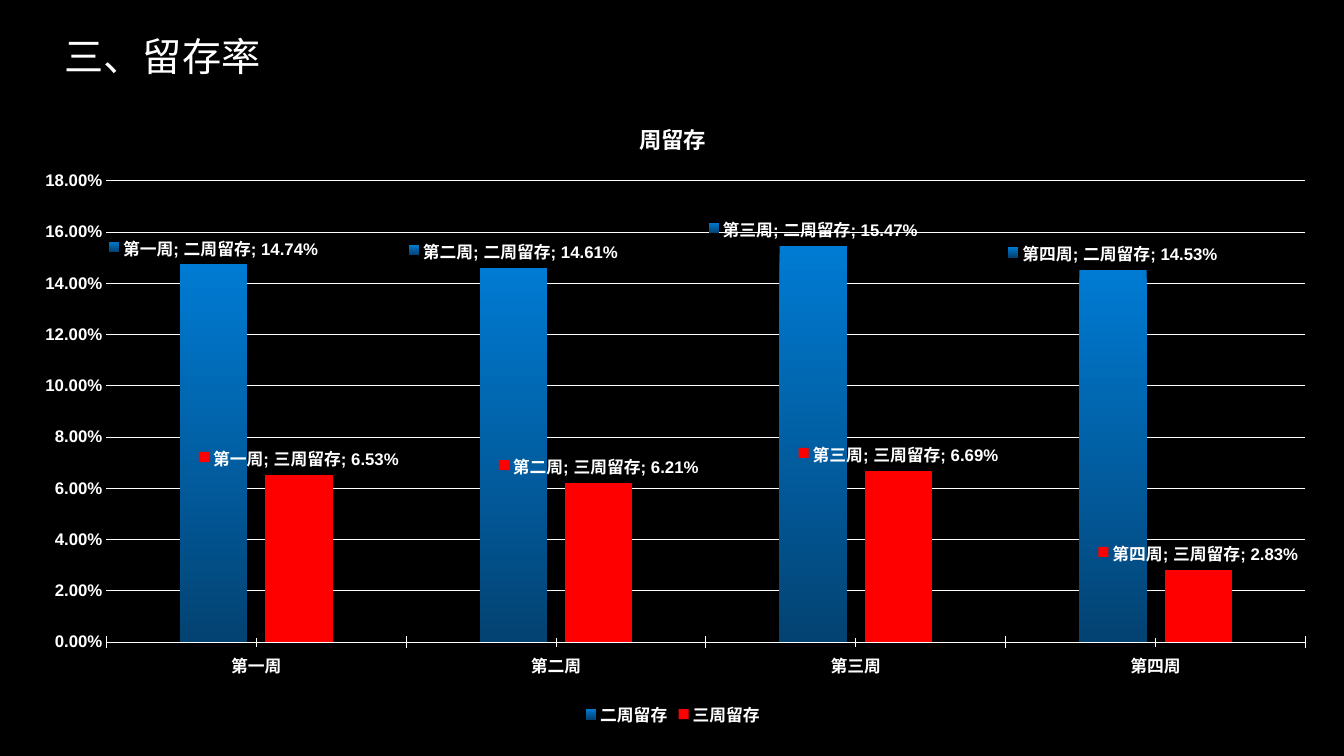
from lxml import etree
from pptx import Presentation
from pptx.chart.data import CategoryChartData
from pptx.dml.color import RGBColor
from pptx.enum.chart import XL_CHART_TYPE, XL_LABEL_POSITION, XL_LEGEND_POSITION, XL_TICK_MARK
from pptx.enum.text import MSO_ANCHOR, PP_ALIGN
from pptx.oxml.ns import qn
from pptx.util import Inches, Pt

COLUMNS = XL_CHART_TYPE.COLUMN_CLUSTERED
OUTSIDE_END = XL_LABEL_POSITION.OUTSIDE_END
BOTTOM = XL_LEGEND_POSITION.BOTTOM
CROSS, NO_TICK = XL_TICK_MARK.CROSS, XL_TICK_MARK.NONE
MIDDLE, LEFT = MSO_ANCHOR.MIDDLE, PP_ALIGN.LEFT

COLORS = {
    "background": "000000",
    "text": "FFFFFF",
    "blue_top": "007BD3",
    "blue_bottom": "034373",
    "red": "FF0000",
}
PERCENT = "0.00%"
PLOT_LAYOUT = {"x": 0.07, "y": 0.13, "w": 0.91, "h": 0.73}
WEEKS = ["第一周", "第二周", "第三周", "第四周"]
RETENTION = {
    "二周留存": ([0.1474, 0.1461, 0.1547, 0.1453], ["blue_top", "blue_bottom"]),
    "三周留存": ([0.0653, 0.0621, 0.0669, 0.0283], ["red"]),
}


def color(name):
    return RGBColor.from_string(COLORS[name])


class SlideBuilder:
    font_name = "Arial"

    def __init__(self, presentation):
        self.slide = presentation.slides.add_slide(presentation.slide_layouts[5])
        background = self.slide.background.fill
        background.solid()
        background.fore_color.rgb = color("background")

    def style_font(self, font, size, bold):
        font.name = self.font_name
        font.size = Pt(size)
        font.bold = bold
        font.color.rgb = color("text")

    def style_line(self, line):
        line.color.rgb = color("text")
        line.width = Pt(0.75)

    def add_title(self, text, left, top, width, height):
        title = self.slide.shapes.title
        title.left, title.top = Inches(left), Inches(top)
        title.width, title.height = Inches(width), Inches(height)
        text_frame = title.text_frame
        text_frame.text = text
        text_frame.word_wrap = False
        text_frame.vertical_anchor = MIDDLE
        paragraph = text_frame.paragraphs[0]
        paragraph.alignment = LEFT
        paragraph.line_spacing = 0.9
        self.style_font(paragraph.runs[0].font, 28, False)

    def add_column_chart(self, title, left, top, width, height):
        data = CategoryChartData(number_format=PERCENT)
        data.categories = WEEKS
        for name, (values, _) in RETENTION.items():
            data.add_series(name, values)
        chart = self.slide.shapes.add_chart(
            COLUMNS, Inches(left), Inches(top), Inches(width), Inches(height), data
        ).chart
        self.style_font(chart.font, 10, False)
        self.set_chart_title(chart, title)
        chart.has_legend = True
        chart.legend.position = BOTTOM
        chart.legend.include_in_layout = True
        self.style_font(chart.legend.font, 12, True)
        self.style_axes(chart)
        self.set_plot_layout(chart)
        plot = chart.plots[0]
        plot.vary_by_categories = False
        plot.gap_width = 219
        plot.overlap = -27
        for series in plot.series:
            self.fill_series(series, RETENTION[series.name][1])
            self.label_series(series)

    def set_chart_title(self, chart, text):
        chart.has_title = True
        text_frame = chart.chart_title.text_frame
        text_frame.text = text
        self.style_font(text_frame.paragraphs[0].runs[0].font, 16, True)
        chart.element.find(".//" + qn("c:title") + "/" + qn("c:overlay")).set("val", "1")

    def style_axes(self, chart):
        category_axis, value_axis = chart.category_axis, chart.value_axis
        for axis in (category_axis, value_axis):
            self.style_font(axis.tick_labels.font, 12, True)
        category_axis.major_tick_mark = CROSS
        category_axis.minor_tick_mark = CROSS
        self.style_line(category_axis.format.line)
        value_axis.major_tick_mark = NO_TICK
        value_axis.minor_tick_mark = NO_TICK
        value_axis.minimum_scale = 0
        value_axis.maximum_scale = 0.18
        value_axis.major_unit = 0.02
        value_axis.format.line.fill.background()
        value_axis.tick_labels.number_format = PERCENT
        value_axis.tick_labels.number_format_is_linked = False
        self.style_line(value_axis.major_gridlines.format.line)

    def set_plot_layout(self, chart):
        """Fix the inner plot area as fractions of the chart."""
        plot_area = chart.element.find(".//" + qn("c:plotArea"))
        layout = plot_area.find(qn("c:layout"))
        if layout is None:
            layout = etree.Element(qn("c:layout"))
            plot_area.insert(0, layout)
        manual = etree.SubElement(layout, qn("c:manualLayout"))
        settings = {"layoutTarget": "inner", "xMode": "edge", "yMode": "edge", **PLOT_LAYOUT}
        for tag, value in settings.items():
            etree.SubElement(manual, qn("c:" + tag)).set("val", str(value))

    def fill_series(self, series, color_names):
        """Fill with one colour, or with a gradient from top to bottom."""
        fill = series.format.fill
        if len(color_names) == 1:
            fill.solid()
            fill.fore_color.rgb = color(color_names[0])
        else:
            fill.gradient()
            fill.gradient_angle = 270
            for stop, name in zip(fill.gradient_stops, color_names):
                stop.color.rgb = color(name)
        series.invert_if_negative = False

    def label_series(self, series):
        labels = series.data_labels
        labels.show_value = True
        labels.show_percentage = True
        labels.show_category_name = True
        labels.show_series_name = True
        labels.show_legend_key = True
        labels.number_format = PERCENT
        labels.number_format_is_linked = False
        labels.position = OUTSIDE_END
        self.style_font(labels.font, 12, True)


def main():
    presentation = Presentation()
    presentation.slide_width = Inches(13.33)
    presentation.slide_height = Inches(7.5)
    builder = SlideBuilder(presentation)
    builder.add_title("三、留存率", 0.54, 0, 3.58, 1.17)
    builder.add_column_chart("周留存", 0.14, 0.98, 13.07, 6.27)
    presentation.save("out.pptx")


if __name__ == "__main__":
    main()
